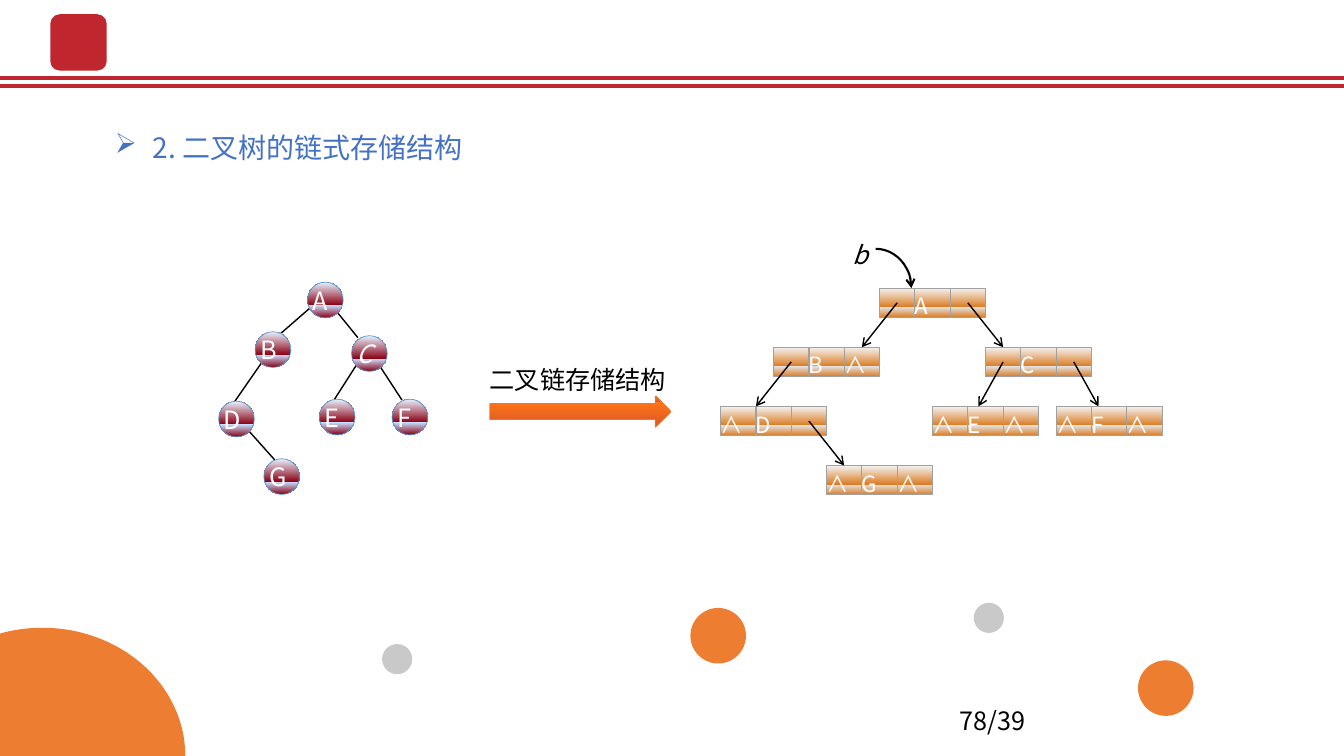
from dataclasses import dataclass
from math import acos, cos, sin

from lxml.etree import SubElement
from pptx import Presentation
from pptx.dml.color import RGBColor
from pptx.enum.shapes import MSO_CONNECTOR as Connector, MSO_SHAPE as Shape
from pptx.enum.text import MSO_ANCHOR as Anchor, PP_ALIGN as Align
from pptx.oxml.ns import qn
from pptx.util import Cm, Pt


@dataclass(frozen=True)
class Theme:
    font: str = "Noto Sans CJK SC"
    title_size: int = 20
    body_size: int = 18
    cell_size: int = 16
    title: str = "4472C4"
    black: str = "000000"
    white: str = "FFFFFF"
    red: str = "C0262E"
    orange: str = "ED7D31"
    gray: str = "C9C9C9"
    node_line: str = "5698D3"
    cell_line: str = "A1A1A1"
    arrow_line: str = "EC792B"
    node_stops: tuple = ((0, "8A0012"), (35, "C7DEFF"), (35, "8A0012"), (100, "EAF2FF"))
    cell_stops: tuple = ((0, "DB7C23"), (35, "E3E3E3"), (35, "DB7C23"), (100, "F4F4F4"))
    arrow_stops: tuple = ((0, "D8572A"), (80, "FF7416"), (80, "D8572A"), (100, "FF7517"))


theme = Theme()
presentation = Presentation()
presentation.slide_width = Cm(33.87)
presentation.slide_height = Cm(19.05)
slide = presentation.slides.add_slide(presentation.slide_layouts[5])
shapes = slide.shapes


def write(shape, text, size, color, insets=None, spacing=None, italic=False):
    frame = shape.text_frame
    frame.text = text
    frame.word_wrap = True
    frame.vertical_anchor = Anchor.TOP
    if insets is not None:
        frame.margin_left = frame.margin_right = frame.margin_bottom = 0
        frame.margin_top = Cm(insets)
    paragraph = frame.paragraphs[0]
    paragraph.alignment = Align.LEFT
    if spacing:
        paragraph.line_spacing = Pt(spacing)
    run = paragraph.runs[0]
    run.font.name = theme.font
    run.font.size = Pt(size)
    run.font.italic = italic
    run.font.color.rgb = RGBColor.from_string(color)
    SubElement(run.font._element, qn("a:ea"), typeface=theme.font)


def add_gradient_shape(kind, left, top, width, height, stops, line_color):
    shape = shapes.add_shape(kind, Cm(left), Cm(top), Cm(width), Cm(height))
    shape.shadow.inherit = False
    shape.fill.gradient()
    shape.fill.gradient_angle = 90
    stop_list = shape._element.spPr.find(".//" + qn("a:gsLst"))
    for stop in list(stop_list):
        stop_list.remove(stop)
    for position, color in stops:
        stop = SubElement(stop_list, qn("a:gs"), pos=str(position * 1000))
        SubElement(stop, qn("a:srgbClr"), val=color)
    shape.line.color.rgb = RGBColor.from_string(line_color)
    shape.line.width = Pt(0.5)
    return shape


title = shapes.title
title.left, title.top, title.width, title.height = Cm(2.64), Cm(3.15), Cm(9.93), Cm(1.12)
write(title, "2. 二叉树的链式存储结构", theme.title_size, theme.title)
title_properties = title.text_frame.paragraphs[0]._p.get_or_add_pPr()
title_properties.set("marL", str(Cm(0.95)))
title_properties.set("indent", str(-Cm(0.95)))
SubElement(title_properties, qn("a:buChar"), char="➢")

cell_width, cell_height, row_step = 0.89, 0.74, 1.49
grid_left, grid_top = 18.16, 7.26
records = [
    (4.5, 0, ["", "A", ""]),
    (1.5, 1, ["", "B", "∧"]),
    (7.5, 1, ["", "C", ""]),
    (0, 2, ["∧", "D", ""]),
    (6, 2, ["∧", "E", "∧"]),
    (9.5, 2, ["∧", "F", "∧"]),
    (3, 3, ["∧", "G", "∧"]),
]
for first_slot, row, fields in records:
    for column, field in enumerate(fields):
        cell = add_gradient_shape(
            Shape.RECTANGLE, grid_left + (first_slot + column) * cell_width,
            grid_top + row * row_step, cell_width, cell_height,
            theme.cell_stops, theme.cell_line)
        if field:
            write(cell, field, theme.cell_size, theme.white, 0.08, 20)

header_lines = [(0, y, 33.87, y, theme.red, 3, False) for y in (1.96, 2.16)]
edges = [
    (8.46, 7.82, 9.02, 8.51),
    (9.02, 9.14, 8.43, 10.06),
    (6.12, 10.69, 6.96, 11.63),
    (9.47, 9.07, 10.13, 10.08),
    (6.71, 8.97, 5.92, 10.11),
    (8.18, 7.44, 6.86, 8.59),
]
edge_lines = [(*edge, theme.black, 1, False) for edge in edges]
pointers = [(5, 0, 4), (7, 0, 8), (2, 1, 1), (8, 1, 7.3), (10, 1, 10.7), (2.5, 2, 3.5)]
pointer_lines = [
    (grid_left + start * cell_width, grid_top + row * row_step + cell_height / 2,
     grid_left + end * cell_width, grid_top + (row + 1) * row_step, theme.black, 1, True)
    for start, row, end in pointers
]
for x1, y1, x2, y2, color, width, has_arrow in header_lines + edge_lines + pointer_lines:
    line = shapes.add_connector(Connector.STRAIGHT, Cm(x1), Cm(y1), Cm(x2), Cm(y2))
    line.line.color.rgb = RGBColor.from_string(color)
    line.line.width = Pt(width)
    properties = line._element.spPr
    if has_arrow:
        SubElement(properties.find(qn("a:ln")), qn("a:tailEnd"), type="arrow")
    SubElement(properties, qn("a:effectLst"))

root_arc = shapes.add_shape(Shape.ARC, Cm(21.17), Cm(6.27), Cm(1.8), Cm(1.98))
root_arc.shadow.inherit = False
root_arc.fill.background()
root_arc.line.color.rgb = RGBColor.from_string(theme.black)
root_arc.line.width = Pt(1.5)
SubElement(root_arc._element.spPr.find(qn("a:ln")), qn("a:tailEnd"), type="arrow")

nodes = [
    ("A", 7.75, 7.11), ("B", 6.43, 8.36), ("C", 8.86, 8.46), ("E", 8.05, 10.06),
    ("F", 9.88, 10.06), ("D", 5.51, 10.11), ("G", 6.65, 11.56),
]
for name, left, top in nodes:
    node = add_gradient_shape(Shape.OVAL, left, top, 0.9, 0.9,
                              theme.node_stops, theme.node_line)
    write(node, name, theme.body_size, theme.white, 0, 20, name == "C")

add_gradient_shape(Shape.RIGHT_ARROW, 12.34, 9.98, 4.57, 0.79,
                   theme.arrow_stops, theme.arrow_line)

labels = [
    ("b", 21.49, 6.02, 0.69, 0.76, 0, True),
    ("二叉链存储结构", 12.34, 9.17, 4.57, 0.76, 0, False),
    ("78/39", 23.93, 17.65, 7.62, 1.02, None, False),
]
for text, left, top, width, height, insets, italic in labels:
    label = shapes.add_textbox(Cm(left), Cm(top), Cm(width), Cm(height))
    write(label, text, theme.body_size, theme.black, insets, italic=italic)

center_x, center_y, radius_x, radius_y = 1.07, 19.05, 3.6, 3.23
left_angle = acos(-center_x / radius_x)
angles = [left_angle * step / 60 for step in range(61)]
outline = [(Cm(center_x + radius_x * cos(angle)), Cm(center_y - radius_y * sin(angle)))
           for angle in angles]
builder = shapes.build_freeform(*outline[0])
builder.add_line_segments(outline[1:] + [(Cm(0), Cm(center_y))], close=True)
corner = builder.convert_to_shape()

decorations = [(corner, theme.orange)]
for kind, left, top, size, color in [
    (Shape.ROUNDED_RECTANGLE, 1.27, 0.36, 1.42, theme.red),
    (Shape.OVAL, 28.68, 16.64, 1.4, theme.orange),
    (Shape.OVAL, 24.54, 15.19, 0.76, theme.gray),
    (Shape.OVAL, 17.4, 15.32, 1.4, theme.orange),
    (Shape.OVAL, 9.63, 16.23, 0.76, theme.gray),
]:
    shape = shapes.add_shape(kind, Cm(left), Cm(top), Cm(size), Cm(size))
    decorations.append((shape, color))
for shape, color in decorations:
    shape.shadow.inherit = False
    shape.fill.solid()
    shape.fill.fore_color.rgb = RGBColor.from_string(color)
    shape.line.fill.background()

presentation.save("out.pptx")
